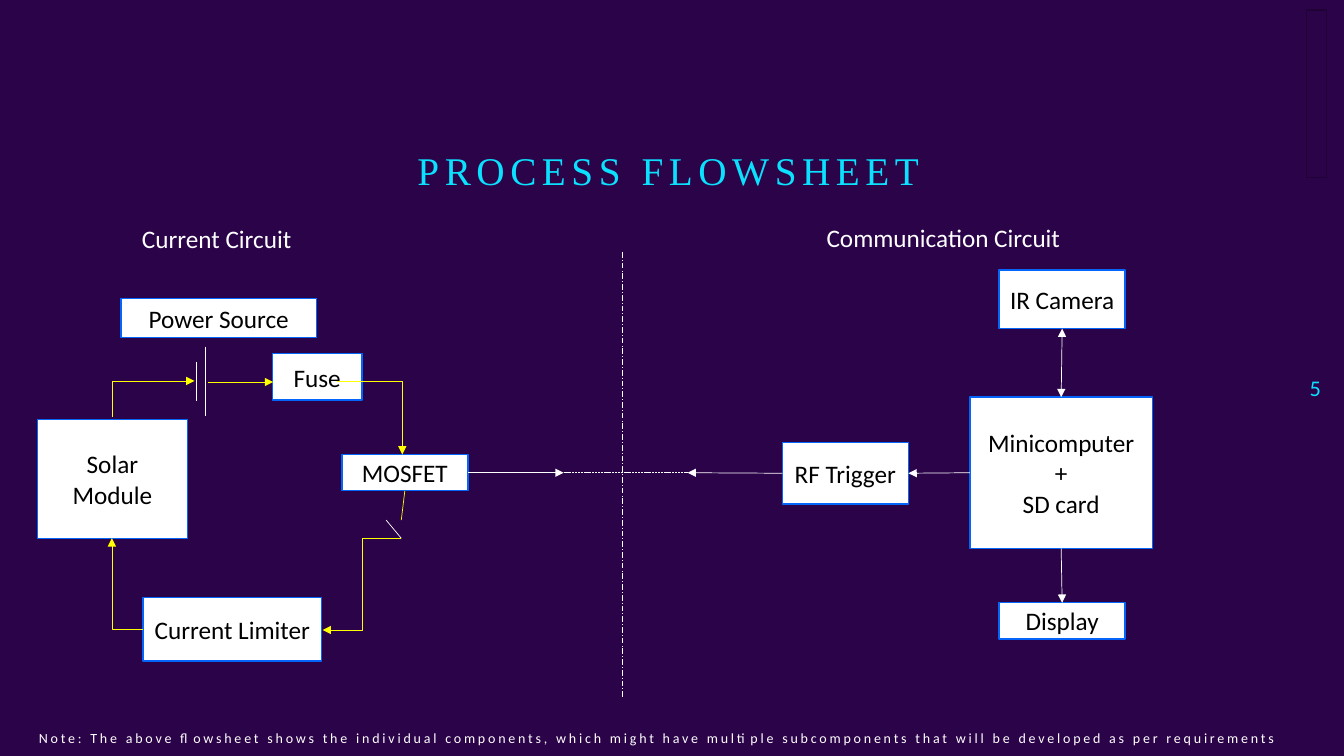
"""Build the process flowsheet slide on a grid of tenth-inch columns and rows."""
from dataclasses import dataclass
from typing import Any, Optional

from pptx import Presentation
from pptx.dml.color import RGBColor
from pptx.enum.dml import MSO_LINE
from pptx.enum.shapes import MSO_CONNECTOR, MSO_SHAPE
from pptx.enum.text import MSO_ANCHOR, MSO_AUTO_SIZE, PP_ALIGN
from pptx.oxml.ns import qn
from pptx.util import Inches, Pt

LEFT, CENTER, RIGHT = PP_ALIGN.LEFT, PP_ALIGN.CENTER, PP_ALIGN.RIGHT
TOP_ANCHOR, MIDDLE = MSO_ANCHOR.TOP, MSO_ANCHOR.MIDDLE
NO_FIT = MSO_AUTO_SIZE.NONE
STRAIGHT, ELBOW = MSO_CONNECTOR.STRAIGHT, MSO_CONNECTOR.ELBOW
RECTANGLE = MSO_SHAPE.RECTANGLE
LONG_DASH_DOT, SHORT_DASH = MSO_LINE.LONG_DASH_DOT, MSO_LINE.SQUARE_DOT

COLUMNS, ROWS = 133.3, 75
WIDTH, HEIGHT = Inches(13.33), Inches(7.5)
NIGHT, CYAN, WHITE, BLACK = "2B0348", "0BE1FF", "FFFFFF", "000000"
BLUE, YELLOW, SHADE = "0565FA", "FFFF00", "200235"
TOP, LEFT_SIDE, BOTTOM, RIGHT_SIDE = range(4)

Area = tuple[float, float, float, float]
Point = tuple[float, float]
Joint = tuple[str, int]


@dataclass
class Label:
    """Text placed on the grid."""
    text: str
    area: Area
    size: float = 18
    color: str = WHITE
    font: str = "Calibri"
    align: Any = LEFT
    anchor: Any = TOP_ANCHOR
    line_spacing: float = 1.0
    tracking: int = 0


@dataclass
class Wire:
    """A connector between two grid points, optionally joined to boxes."""
    start: Point
    end: Point
    color: str = WHITE
    heads: tuple[str, ...] = ()
    dash: Any = None
    begin: Optional[Joint] = None
    stop: Optional[Joint] = None
    bend: str = ""


TITLE = Label("PROCESS FLOWSHEET", (40.4, 14.5, 52.6, 6.3), 28, CYAN,
              "Times New Roman", line_spacing=0.9, tracking=400)
LABELS = [
    Label("Note: The above flowsheet shows the individual components, which might have "
          "multiple subcomponents that will be developed as per requirements",
          (1.4, 70.2, 127.5, 6.3), 10, align=CENTER, line_spacing=2.0, tracking=200),
    Label("5", (126, 35.3, 6, 6.3), 16, CYAN, align=RIGHT, anchor=MIDDLE),
    Label("Current Circuit", (13.1, 21.7, 18.8, 4)),
    Label("Communication Circuit", (81, 21.6, 30, 4)),
]
BOXES: dict[str, Area] = {
    "Fuse": (27, 35.1, 8.9, 4.6),
    "MOSFET": (33.9, 45.1, 12.5, 3.6),
    "Current Limiter": (14.2, 59.3, 17.7, 6.3),
    "Solar Module": (3.7, 41.6, 14.9, 11.8),
    "RF Trigger": (77.6, 43.9, 12.5, 6.1),
    "Power Source": (12, 29.6, 19.4, 3.9),
    "Minicomputer\n+\nSD card": (96.2, 39.4, 18.1, 15),
    "Display": (99.1, 59.8, 12.5, 3.6),
    "IR Camera": (99.1, 26.8, 12.5, 5.8),
}
BOARD = "Minicomputer\n+\nSD card"
HEAD, TAIL = ("headEnd",), ("tailEnd",)
WIRES = [
    Wire((38.3, 51.6), (39.8, 53.4)),
    Wire((39.8, 48.7), (39.8, 51.6), YELLOW, begin=("MOSFET", BOTTOM)),
    Wire((19.5, 35.9), (19.5, 39.8)),
    Wire((20.4, 34.4), (20.4, 41.3)),
    Wire((46.4, 46.9), (55.9, 46.9), heads=TAIL, begin=("MOSFET", RIGHT_SIDE)),
    Wire((61.7, 25), (61.7, 69.1), dash=LONG_DASH_DOT),
    Wire((77.6, 46.9), (68.2, 46.9), heads=TAIL, begin=("RF Trigger", LEFT_SIDE)),
    Wire((55.9, 46.9), (68.2, 46.9), dash=SHORT_DASH),
    Wire((105.3, 39.4), (105.3, 32.6), heads=HEAD + TAIL,
         begin=(BOARD, TOP), stop=("IR Camera", BOTTOM)),
    Wire((105.3, 54.4), (105.3, 59.8), heads=TAIL,
         begin=(BOARD, BOTTOM), stop=("Display", TOP)),
    Wire((96.2, 46.9), (90.1, 46.9), heads=TAIL,
         begin=(BOARD, LEFT_SIDE), stop=("RF Trigger", RIGHT_SIDE)),
    Wire((20.6, 37.9), (27.1, 37.9), YELLOW, TAIL),
    Wire((33.4, 37.8), (39.9, 45.1), YELLOW, TAIL, bend="bentConnector2"),
    Wire((14.2, 62.4), (11.1, 53.4), YELLOW, TAIL, bend="bentConnector2"),
    Wire((19.3, 37.8), (11.1, 41.4), YELLOW, HEAD, bend="bentConnector2"),
    Wire((39.8, 53.4), (32, 62.5), YELLOW, TAIL, bend="bentConnector3"),
]


def rgb(color: str) -> RGBColor:
    """Turn a hex string into a colour."""
    return RGBColor.from_string(color)


def grid(*lengths: float) -> list[int]:
    """Turn alternating columns and rows into slide lengths."""
    units = (WIDTH / COLUMNS, HEIGHT / ROWS)
    return [round(length * units[index % 2]) for index, length in enumerate(lengths)]


def assign(target: Any, values: dict[str, Any]) -> None:
    """Set each named attribute of the target."""
    for name, value in values.items():
        setattr(target, name, value)


def write(frame: Any, label: Label) -> None:
    """Fill a text frame with the formatted label."""
    assign(frame, {"word_wrap": True, "auto_size": NO_FIT, "vertical_anchor": label.anchor})
    frame.text = label.text
    for para in frame.paragraphs:
        assign(para, {"alignment": label.align, "line_spacing": label.line_spacing})
        for span in para.runs:
            assign(span.font, {"name": label.font, "size": Pt(label.size)})
            span.font.color.rgb = rgb(label.color)
            if label.tracking:
                span.font._element.set("spc", str(label.tracking))


def draw_title(page: Any, label: Label) -> None:
    """Move and format the title placeholder."""
    title = page.shapes.title
    assign(title, dict(zip(("left", "top", "width", "height"), grid(*label.area))))
    write(title.text_frame, label)


def draw_label(page: Any, label: Label) -> None:
    """Add a text box."""
    write(page.shapes.add_textbox(*grid(*label.area)).text_frame, label)


def draw_box(page: Any, area: Area, fill: str, outline: str) -> Any:
    """Add an outlined rectangle."""
    box = page.shapes.add_shape(RECTANGLE, *grid(*area))
    box.shadow.inherit = False
    box.fill.solid()
    box.fill.fore_color.rgb = rgb(fill)
    box.line.color.rgb = rgb(outline)
    box.line.width = Pt(1)
    return box


def draw_wire(page: Any, wire: Wire, boxes: dict[str, Any]) -> None:
    """Add a connector with its dash, arrowheads and joints."""
    kind = ELBOW if wire.bend else STRAIGHT
    connector = page.shapes.add_connector(kind, *grid(*wire.start, *wire.end))
    properties = connector._element.spPr
    if wire.bend:
        properties.find(qn("a:prstGeom")).set("prst", wire.bend)
    connector.line.color.rgb = rgb(wire.color)
    assign(connector.line, {"width": Pt(0.5), "dash_style": wire.dash})
    outline = properties.find(qn("a:ln"))
    for head in wire.heads:
        mark = outline.makeelement(qn(f"a:{head}"), {"type": "triangle"})
        outline.append(mark)
    properties.append(properties.makeelement(qn("a:effectLst"), {}))
    if wire.begin:
        connector.begin_connect(boxes[wire.begin[0]], wire.begin[1])
    if wire.stop:
        connector.end_connect(boxes[wire.stop[0]], wire.stop[1])


def main() -> None:
    """Build and save the deck."""
    deck = Presentation()
    assign(deck, {"slide_width": WIDTH, "slide_height": HEIGHT})
    page = deck.slides.add_slide(deck.slide_layouts[5])
    page.background.fill.solid()
    page.background.fill.fore_color.rgb = rgb(NIGHT)
    draw_title(page, TITLE)
    for label in LABELS:
        draw_label(page, label)
    boxes = {}
    for text, area in BOXES.items():
        boxes[text] = draw_box(page, area, WHITE, BLUE)
        write(boxes[text].text_frame,
              Label(text, area, color=BLACK, align=CENTER, anchor=MIDDLE))
    for wire in WIRES:
        draw_wire(page, wire, boxes)
    draw_box(page, (129.6, 1, 2, 16.6), NIGHT, SHADE)
    deck.save("out.pptx")


if __name__ == "__main__":
    main()
